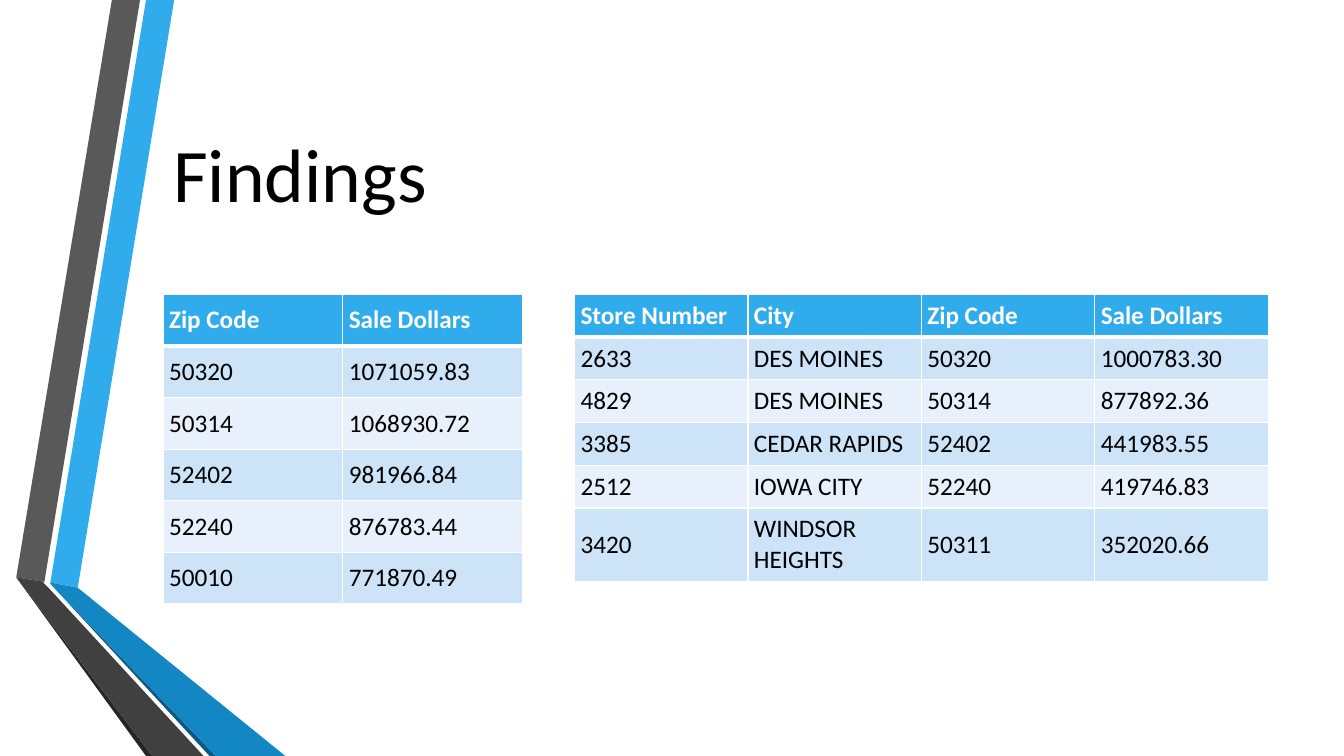
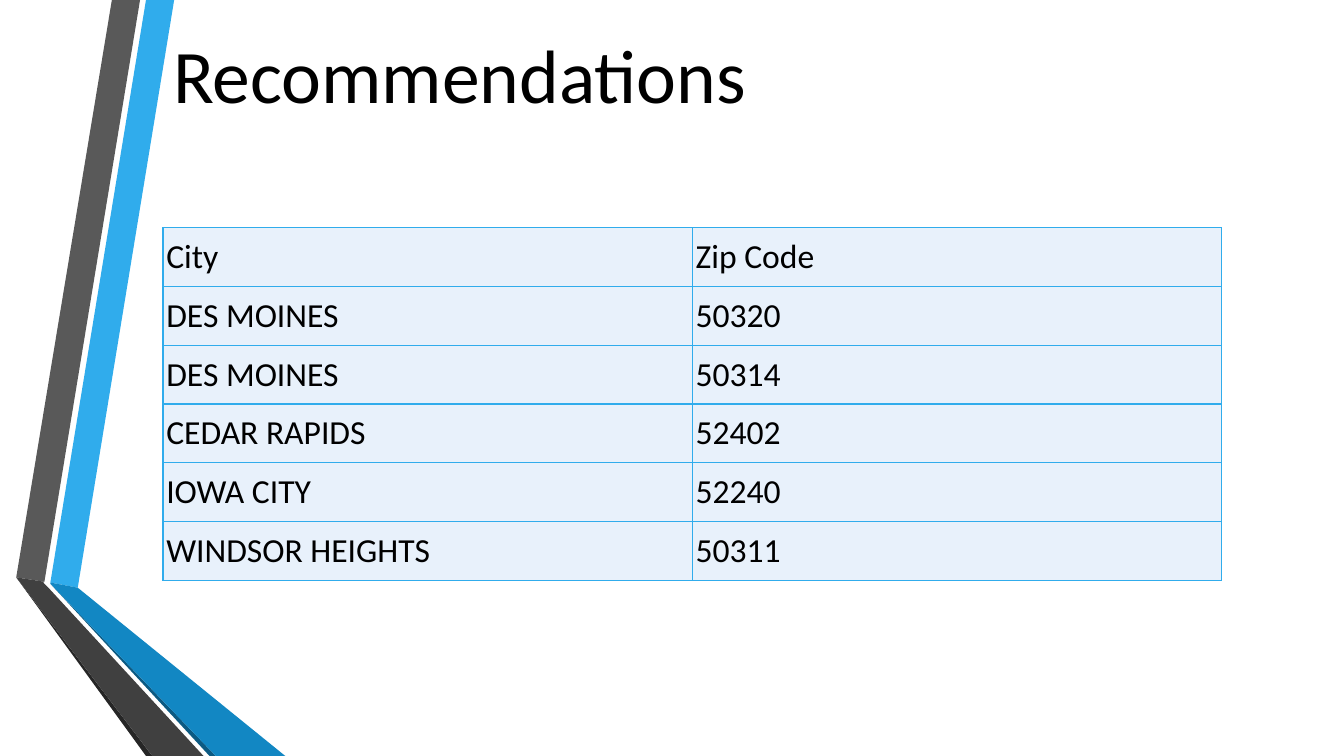
from lxml.etree import SubElement
from pptx import Presentation
from pptx.dml.color import RGBColor
from pptx.enum.text import MSO_ANCHOR, MSO_AUTO_SIZE, PP_ALIGN
from pptx.oxml.ns import qn
from pptx.util import Cm, Pt

BLUE, PALE, LIGHT = "30ACEC", "E8F1FB", "CDE3F8"
WHITE, BLACK = "FFFFFF", "000000"
FONT = "Calibri"
LEFT = 4.11
BOTTOM = 19.05

RIBBONS = [
    (BLUE, [(1.27, 14.68), (1.96, 14.81), (4.39, 0), (3.68, 0)]),
    ("595959", [(3.53, 0), (2.82, 0), (0.41, 14.55), (1.12, 14.66)]),
    ("262626", [(0.41, 14.55), (3.68, BOTTOM), (3.84, BOTTOM)]),
    ("0C5A82", [(1.27, 14.71), (5.28, BOTTOM), (5.44, BOTTOM)]),
    ("1287C3", [(1.27, 14.71), (5.44, BOTTOM), (7.19, BOTTOM), (1.96, 14.81), (1.27, 14.68)]),
    ("404040", [(5.13, BOTTOM), (1.22, 14.81), (1.09, 14.68), (1.12, 14.66),
                (0.41, 14.55), (3.84, BOTTOM)]),
]

ZIP_SALES = [
    ("Zip Code", "Sale Dollars"),
    ("50320", "1071059.83"),
    ("50314", "1068930.72"),
    ("52402", "981966.84"),
    ("52240", "876783.44"),
    ("50010", "771870.49"),
]
STORE_SALES = [
    ("Store Number", "City", "Zip Code", "Sale Dollars"),
    ("2633", "DES MOINES", "50320", "1000783.30"),
    ("4829", "DES MOINES", "50314", "877892.36"),
    ("3385", "CEDAR RAPIDS", "52402", "441983.55"),
    ("2512", "IOWA CITY", "52240", "419746.83"),
    ("3420", "WINDSOR HEIGHTS", "50311", "352020.66"),
]
CITY_ZIPS = [(city, code) for _, city, code, _ in STORE_SALES]


def rgb(value):
    """Turn a hex string into a colour."""
    return RGBColor.from_string(value)


class Deck:
    """Hold the presentation, its style and the current slide."""

    def __init__(self):
        """Start a wide presentation."""
        self.prs = Presentation()
        self.prs.slide_width, self.prs.slide_height = Cm(33.87), Cm(BOTTOM)
        self.s = None

    def slide(self, title, top, height):
        """Add a slide with its title; the first one also sets up the master."""
        self.s = self.prs.slides.add_slide(self.prs.slide_layouts[5])
        if len(self.prs.slides) == 1:
            self.ribbons()
        sp = self.s.shapes.title
        sp.left, sp.top, sp.width, sp.height = Cm(LEFT), Cm(top), Cm(27.84), Cm(height)
        tf = sp.text_frame
        tf.text = title
        tf.word_wrap = True
        tf.auto_size = MSO_AUTO_SIZE.NONE
        tf.vertical_anchor = MSO_ANCHOR.MIDDLE
        self.style(tf.paragraphs[0], 54, BLACK)

    def style(self, p, size, color, bold=False):
        """Left-align a paragraph and format its runs."""
        p.alignment = PP_ALIGN.LEFT
        for r in p.runs:
            r.font.name, r.font.size, r.font.bold = FONT, Pt(size), bold
            r.font.color.rgb = rgb(color)

    def ribbons(self):
        """Draw the folded ribbons and place them on the slide master."""
        tree = self.prs.slide_master.shapes.element
        for i, (color, points) in enumerate(RIBBONS):
            start, *rest = [(Cm(x), Cm(y)) for x, y in points]
            builder = self.s.shapes.build_freeform(*start)
            builder.add_line_segments(rest, close=True)
            sp = builder.convert_to_shape()
            sp.name = f"Ribbon {i + 1}"
            sp.shadow.inherit = False
            sp.fill.solid()
            sp.fill.fore_color.rgb = rgb(color)
            sp.line.fill.background()
            sp.element.nvSpPr.cNvPr.set("id", str(100 + i))
            tree.insert(2 + i, sp.element)

    def border(self, cell, side, color, width):
        """Draw one side of a cell's border."""
        ln = SubElement(cell._tc.get_or_add_tcPr(), qn(f"a:ln{side}"), w=str(Pt(width)))
        fill = SubElement(ln, qn("a:solidFill"))
        SubElement(fill, qn("a:srgbClr"), val=color)

    def table(self, rows, left, top, col, row, size=18, inset=0.15, header=True):
        """Add a table, with a header and bands or with a plain grid."""
        n = len(rows[0])
        t = self.s.shapes.add_table(len(rows), n, Cm(left), Cm(top),
                                    Cm(col * n), Cm(row * len(rows))).table
        t.first_row = t.horz_banding = header
        for column in t.columns:
            column.width = Cm(col)
        for i, values in enumerate(rows):
            t.rows[i].height = Cm(row)
            head = header and i == 0
            fill = BLUE if head else LIGHT if header and i % 2 else PALE
            for j, value in enumerate(values):
                cell = t.cell(i, j)
                cell.text = value
                cell.vertical_anchor = MSO_ANCHOR.MIDDLE
                cell.margin_left = cell.margin_right = Cm(inset)
                cell.margin_top = cell.margin_bottom = Cm(inset)
                for side in "LRTB":
                    thick = header and (i, side) in ((0, "B"), (1, "T"))
                    self.border(cell, side, WHITE if header else BLUE, 3 if thick else 1)
                cell.fill.solid()
                cell.fill.fore_color.rgb = rgb(fill)
                self.style(cell.text_frame.paragraphs[0], size, WHITE if head else BLACK, head)


def main():
    """Build and save the two slides."""
    d = Deck()
    d.slide("Findings", 1.9, 4.88)
    d.table(ZIP_SALES, LEFT, 7.42, 4.53, 1.3)
    d.table(STORE_SALES, 14.48, 7.42, 4.37, 1.06)
    d.slide("Recommendations", 0, 3.71)
    d.table(CITY_ZIPS, LEFT, 5.74, 13.34, 1.48, size=24, inset=0.08, header=False)
    d.prs.save("out.pptx")


if __name__ == "__main__":
    main()
